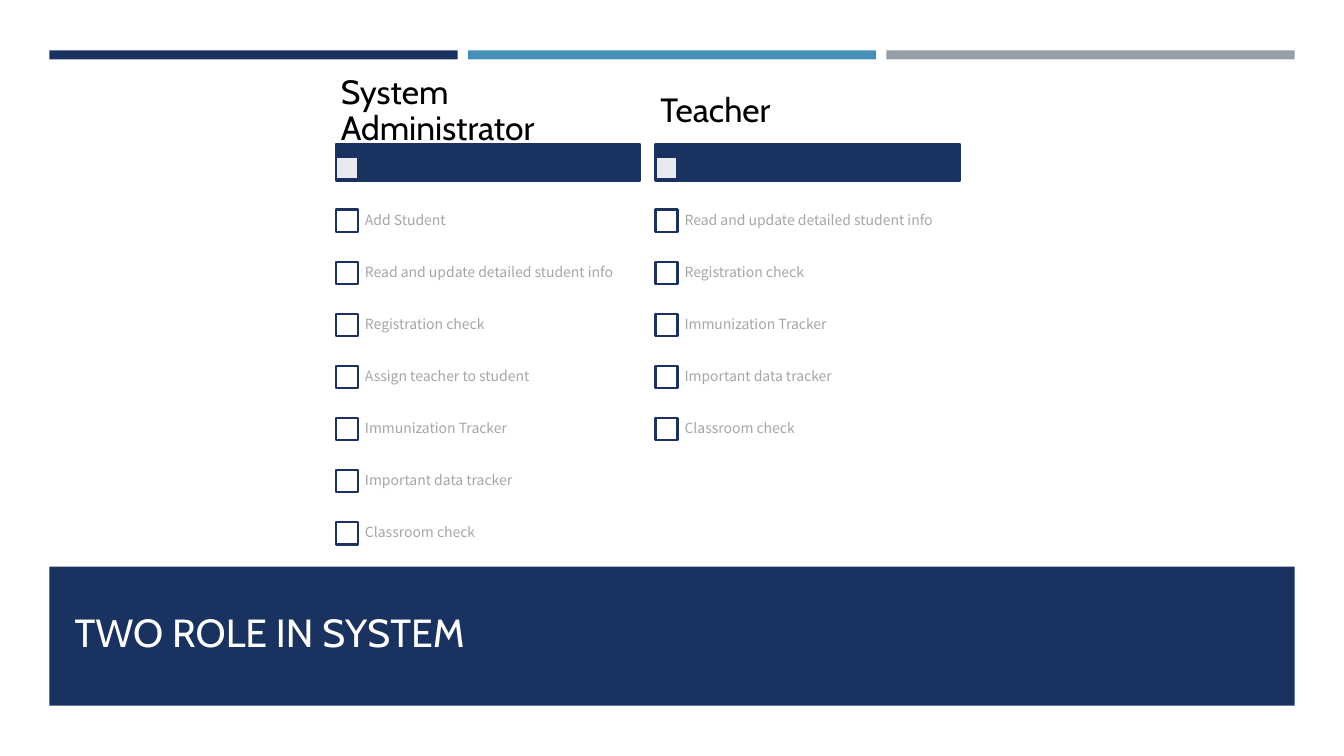
from dataclasses import dataclass

from lxml.etree import SubElement
from pptx import Presentation
from pptx.dml.color import RGBColor
from pptx.enum.shapes import MSO_SHAPE
from pptx.enum.text import MSO_ANCHOR, MSO_AUTO_SIZE, PP_ALIGN
from pptx.oxml.ns import qn
from pptx.shapes.autoshape import Shape
from pptx.slide import Slide
from pptx.util import Inches, Pt

COLORS = {
    "navy": "1A3260",
    "blue": "4590B8",
    "gray": "969FA7",
    "white": "FFFFFF",
    "title": "FFFEFF",
    "heading": "000000",
    "duty": "A6A6A6",
}
HEADING_FONT = "Cabin"
DUTY_FONT = "Noto Sans CJK SC"

ROLE_WIDTH = 3.02
CHECKBOX = 0.22
FIRST_ROW = 1.93
ROW_HEIGHT = 0.52
ROW_PITCH = 3.1 / 6
DUTY_INDENT = 0.21


@dataclass
class Box:
    left: float
    top: float
    width: float
    height: float


@dataclass
class TextStyle:
    font: str
    size: int
    color: str
    inset_x: float
    inset_y: float


@dataclass
class Role:
    name: str
    left: float
    duties: list[str]


HEADING = TextStyle(HEADING_FONT, 24, "heading", 0.05, 0.03)
DUTY = TextStyle(DUTY_FONT, 10, "duty", 0.08, 0.08)

ROLES = [
    Role("System Administrator", 3.33, [
        "Add Student",
        "Read and update detailed student info",
        "Registration check",
        "Assign teacher to student",
        "Immunization Tracker",
        "Important data tracker",
        "Classroom check",
    ]),
    Role("Teacher", 6.5, [
        "Read and update detailed student info",
        "Registration check",
        "Immunization Tracker",
        "Important data tracker",
        "Classroom check",
    ]),
]


def rgb(name: str) -> RGBColor:
    return RGBColor.from_string(COLORS[name])


def inches(box: Box) -> list[Inches]:
    return [Inches(v) for v in (box.left, box.top, box.width, box.height)]


def add_rect(slide: Slide, box: Box, fill: str, outlined: bool = False) -> Shape:
    rect = slide.shapes.add_shape(MSO_SHAPE.RECTANGLE, *inches(box))
    rect.shadow.inherit = False
    rect.fill.solid()
    rect.fill.fore_color.rgb = rgb(fill)
    if outlined:
        rect.line.color.rgb = rgb("navy")
        rect.line.width = Pt(1.75)
    else:
        rect.line.fill.background()
    return rect


def set_opacity(rect: Shape, percent: int) -> None:
    color = rect.fill._xPr.find(qn("a:solidFill"))[0]
    SubElement(color, qn("a:alpha")).set("val", str(percent * 1000))


def add_label(slide: Slide, box: Box, text: str, style: TextStyle) -> None:
    frame = slide.shapes.add_textbox(*inches(box)).text_frame
    frame.word_wrap = True
    frame.vertical_anchor = MSO_ANCHOR.MIDDLE
    frame.margin_left = frame.margin_right = Inches(style.inset_x)
    frame.margin_top = frame.margin_bottom = Inches(style.inset_y)
    paragraph = frame.paragraphs[0]
    paragraph.text = text
    paragraph.line_spacing = 0.9
    paragraph.font.name = style.font
    paragraph.font.size = Pt(style.size)
    paragraph.font.color.rgb = rgb(style.color)


def add_role(slide: Slide, role: Role) -> None:
    # Header bar with its pale square, and the role name above
    add_rect(slide, Box(role.left, 1.43, ROLE_WIDTH, 0.36), "navy", outlined=True)
    marker = add_rect(slide, Box(role.left, 1.56, CHECKBOX, CHECKBOX), "white", outlined=True)
    set_opacity(marker, 90)
    add_label(slide, Box(role.left, 0.79, ROLE_WIDTH, 0.64), role.name, HEADING)

    # Checklist of duties
    for index, duty in enumerate(role.duties):
        top = FIRST_ROW + index * ROW_PITCH
        checkbox_top = top + (ROW_HEIGHT - CHECKBOX) / 2
        add_rect(slide, Box(role.left, checkbox_top, CHECKBOX, CHECKBOX), "white", outlined=True)
        add_label(slide, Box(role.left + DUTY_INDENT, top, ROLE_WIDTH - DUTY_INDENT, ROW_HEIGHT),
                  duty, DUTY)


def add_title(slide: Slide, text: str) -> None:
    title = slide.shapes.title
    title.left, title.top, title.width, title.height = inches(Box(0.64, 5.76, 12.06, 0.79))
    slide.shapes.element.append(title.element)  # bring in front of the band
    frame = title.text_frame
    frame.auto_size = MSO_AUTO_SIZE.NONE
    frame.vertical_anchor = MSO_ANCHOR.BOTTOM
    paragraph = frame.paragraphs[0]
    paragraph.text = text
    paragraph.alignment = PP_ALIGN.LEFT
    paragraph.font.name = HEADING_FONT
    paragraph.font.size = Pt(28)
    paragraph.font.color.rgb = rgb("title")


def main() -> None:
    deck = Presentation()
    deck.slide_width, deck.slide_height = Inches(13.33), Inches(7.5)
    slide = deck.slides.add_slide(deck.slide_layouts[5])

    # Three accent bars across the top
    for index, color in enumerate(("navy", "blue", "gray")):
        add_rect(slide, Box(0.49 + index * 4.15, 0.5, 4.05, 0.1), color)

    # Content panel and title band
    add_rect(slide, Box(0, 0.59, 13.33, 6.91), "white")
    add_rect(slide, Box(0.49, 5.62, 12.35, 1.38), "navy")
    add_title(slide, "TWO ROLE IN SYSTEM")

    for role in ROLES:
        add_role(slide, role)

    deck.save("out.pptx")


if __name__ == "__main__":
    main()
